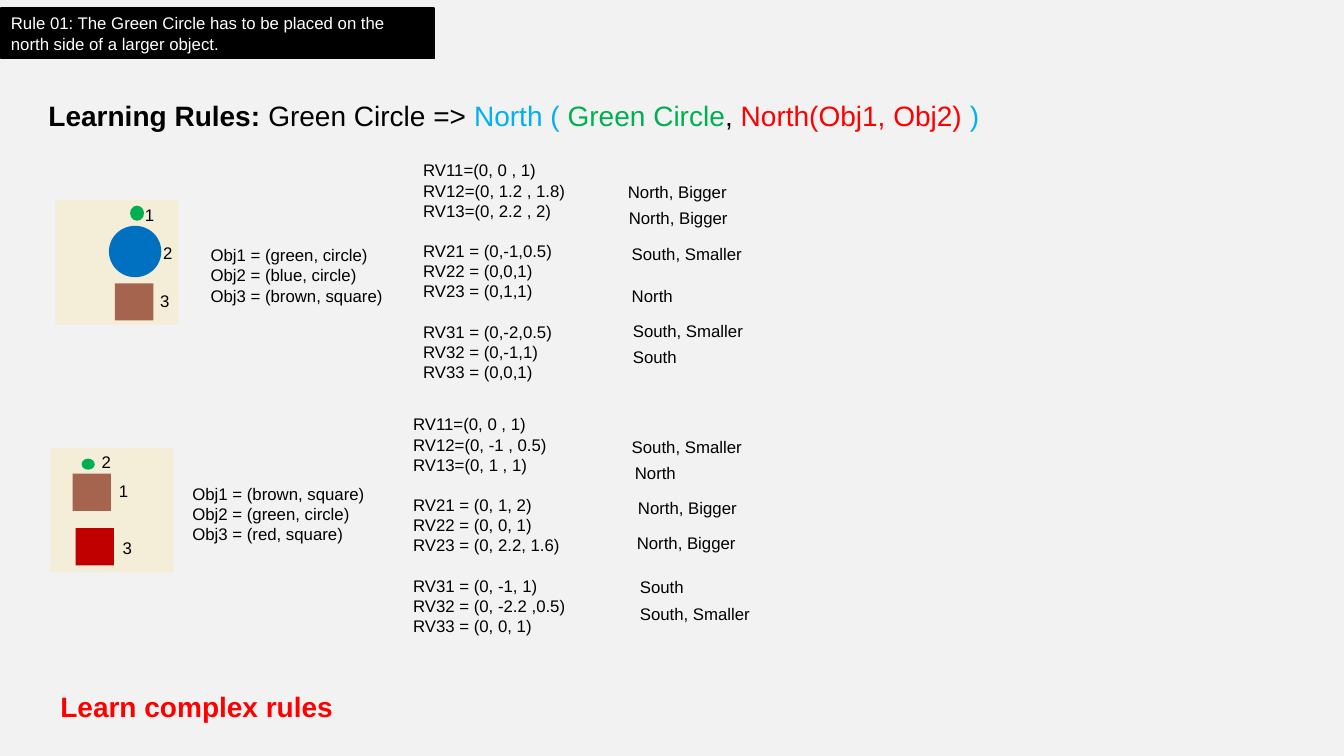
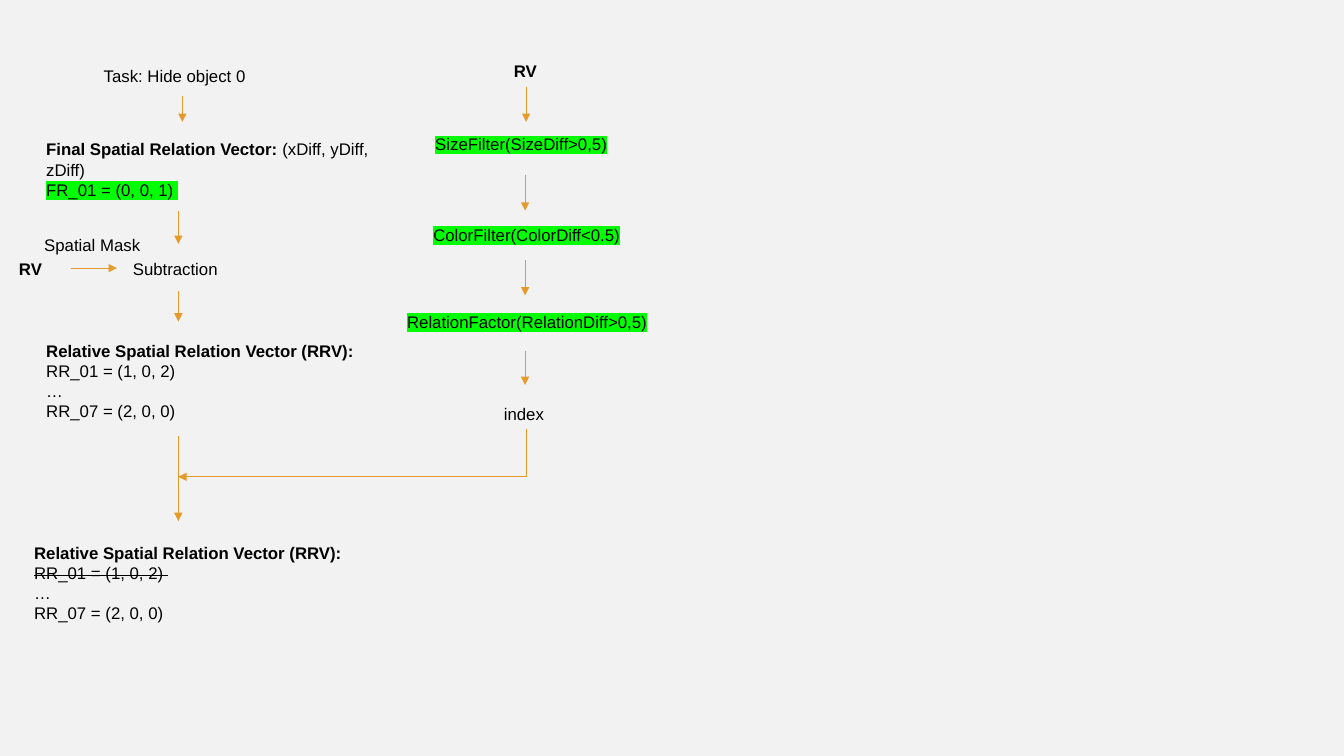
from lxml.etree import SubElement
from pptx import Presentation
from pptx.dml.color import RGBColor
from pptx.enum.shapes import MSO_CONNECTOR, MSO_SHAPE
from pptx.enum.text import MSO_ANCHOR, MSO_AUTO_SIZE, PP_ALIGN
from pptx.oxml.ns import qn
from pptx.util import Pt

COLOURS = {
    "page": "F2F2F2",
    "ink": "000000",
    "white": "FFFFFF",
    "sand": "F4EDD8",
    "brown": "A5644E",
    "blue": "0070C0",
    "green": "00B050",
    "crimson": "C00000",
    "red": "FF0000",
    "sky": "00B0F0",
    "marker": "00FF00",
    "arrow": "E59B2C",
}
FONT = "Arial"
BODY = 12
HEADING = 20
LINE = 14.4
TITLE_ONLY, BLANK = 5, 6

BOLD = {"bold": True}
MARKED = {"marker": True}
STRUCK = {"strike": True}


def rgb(name):
    return RGBColor.from_string(COLOURS[name])


class Deck:
    def __init__(self):
        self.prs = Presentation()
        self.prs.slide_width, self.prs.slide_height = Pt(960), Pt(540)
        background = self.prs.slide_master.background.fill
        background.solid()
        background.fore_color.rgb = rgb("page")
        self.slide = None

    def new_slide(self, layout):
        self.slide = self.prs.slides.add_slide(self.prs.slide_layouts[layout])

    def style(self, run, size, colour="ink", bold=False, marker=False, strike=False):
        run.font.size = Pt(size)
        run.font.bold = bold
        run.font.color.rgb = rgb(colour)
        properties = run.font._element
        if marker:
            highlight = SubElement(properties, qn("a:highlight"))
            SubElement(highlight, qn("a:srgbClr")).set("val", COLOURS["marker"])
        if strike:
            properties.set("strike", "sngStrike")
        run.font.name = FONT

    def fill_text(self, frame, paragraphs, size=BODY):
        frame.word_wrap = True
        for index, pieces in enumerate(paragraphs):
            paragraph = frame.add_paragraph() if index else frame.paragraphs[0]
            paragraph.alignment = PP_ALIGN.LEFT
            for words, look in pieces:
                run = paragraph.add_run()
                run.text = words
                self.style(run, size, **look)

    def title(self, left, top, width, height, pieces):
        heading = self.slide.shapes.title
        heading.left, heading.top = Pt(left), Pt(top)
        heading.width, heading.height = Pt(width), Pt(height)
        heading.text_frame.auto_size = MSO_AUTO_SIZE.NONE
        heading.text_frame.vertical_anchor = MSO_ANCHOR.TOP
        self.fill_text(heading.text_frame, [pieces], HEADING)

    def rich_text(self, left, top, width, height, paragraphs, size=BODY):
        box = self.slide.shapes.add_textbox(Pt(left), Pt(top), Pt(width), Pt(height))
        self.fill_text(box.text_frame, paragraphs, size)
        return box.text_frame

    def label(self, left, top, width, words, size=BODY, **look):
        self.rich_text(left, top, width, size * 1.2 + 7.2, [[(words, look)]], size)

    def lines(self, left, top, width, *blocks):
        rows = [row for block in blocks for row in block]
        height = (len(rows) + len(blocks) - 1) * LINE + 7.2
        frame = self.rich_text(left, top, width, height, [[(row, {})] for row in rows])
        start = 0
        for block in blocks[:-1]:
            start += len(block)
            frame.paragraphs[start].space_before = Pt(LINE)

    def shape(self, shapes, preset, left, top, width, height, colour):
        figure = shapes.add_shape(preset, Pt(left), Pt(top), Pt(width), Pt(height))
        figure.shadow.inherit = False
        figure.fill.solid()
        figure.fill.fore_color.rgb = rgb(colour)
        figure.line.fill.background()
        return figure

    def banner(self, left, top, width, height, words):
        rule = self.shape(self.slide.shapes, MSO_SHAPE.RECTANGLE, left, top, width, height, "ink")
        rule.line.color.rgb = rgb("ink")
        rule.line.width = Pt(1.25)
        rule.text_frame.vertical_anchor = MSO_ANCHOR.MIDDLE
        self.fill_text(rule.text_frame, [[(words, {"colour": "white"})]])

    def scene(self, left, top, objects, numbers):
        shapes = self.slide.shapes.add_group_shape().shapes
        self.shape(shapes, MSO_SHAPE.RECTANGLE, left, top, 87.8, 89.3, "sand")
        for preset, x, y, width, height, colour in objects:
            self.shape(shapes, preset, left + x, top + y, width, height, colour)
        for number, (x, y) in enumerate(numbers, 1):
            self.label(left + x, top + y, 26.6, str(number))

    def arrow(self, x1, y1, x2, y2, kind=MSO_CONNECTOR.STRAIGHT):
        link = self.slide.shapes.add_connector(kind, Pt(x1), Pt(y1), Pt(x2), Pt(y2))
        link.line.color.rgb = rgb("arrow")
        link.line.width = Pt(0.75)
        properties = link._element.spPr
        SubElement(properties.find(qn("a:ln")), qn("a:tailEnd")).set("type", "triangle")
        SubElement(properties, qn("a:effectLst"))
        return properties

    def corner_arrow(self, x1, y1, x2, y2):
        across, down = x1 - x2, y2 - y1
        left = (x1 + x2 - down) / 2
        top = (y1 + y2 - across) / 2
        properties = self.arrow(left, top, left + down, top + across, MSO_CONNECTOR.ELBOW)
        properties.find(qn("a:xfrm")).set("rot", "5400000")
        properties.find(qn("a:prstGeom")).set("prst", "bentConnector2")


def learning_rules(deck):
    deck.new_slide(TITLE_ONLY)
    deck.banner(0.7, 5.8, 309.6, 36,
                "Rule 01: The Green Circle has to be placed on the north side of a larger object.")
    deck.title(27.4, 67, 905, 31.7, [
        ("Learning Rules: ", BOLD),
        ("Green Circle => ", {}),
        ("North ( ", {"colour": "sky"}),
        ("Green Circle", {"colour": "green"}),
        (", ", {}),
        ("North(Obj1, Obj2) ", {"colour": "red"}),
        (")", {"colour": "sky"}),
    ])
    square, circle = MSO_SHAPE.RECTANGLE, MSO_SHAPE.OVAL
    deck.scene(39.6, 142.6, [
        (square, 42.5, 59.8, 27.4, 26.6, "brown"),
        (circle, 38.2, 18.7, 37.4, 36.7, "blue"),
        (circle, 53.3, 4.3, 10, 10.8, "green"),
    ], [(56.9, 0), (69.8, 27.4), (67.7, 61.2)])
    deck.scene(36, 319.7, [
        (square, 15.8, 18.7, 27.4, 26.6, "brown"),
        (square, 18, 57.6, 27.4, 26.6, "crimson"),
        (circle, 22.3, 7.9, 9.4, 7.9, "green"),
    ], [(41.8, 20.2), (29.5, -0.7), (44.6, 61.2)])

    deck.lines(143.3, 171.4, 150.5,
               ["Obj1 = (green, circle)", "Obj2 = (blue, circle)", "Obj3 = (brown, square)"])
    deck.lines(130.3, 342, 150.5,
               ["Obj1 = (brown, square)", "Obj2 = (green, circle)", "Obj3 = (red, square)"])
    deck.lines(295.2, 110.9, 120.2,
               ["RV11=(0, 0 , 1)", "RV12=(0, 1.2 , 1.8)", "RV13=(0, 2.2 , 2)"],
               ["RV21 = (0,-1,0.5)", "RV22 = (0,0,1)", "RV23 = (0,1,1)"],
               ["RV31 = (0,-2,0.5)", "RV32 = (0,-1,1)", "RV33 = (0,0,1)"])
    deck.lines(288, 292.3, 127.4,
               ["RV11=(0, 0 , 1)", "RV12=(0, -1 , 0.5)", "RV13=(0, 1 , 1)"],
               ["RV21 = (0, 1, 2)", "RV22 = (0, 0, 1)", "RV23 = (0, 2.2, 1.6)"],
               ["RV31 = (0, -1, 1)", "RV32 = (0, -2.2 ,0.5)", "RV33 = (0, 0, 1)"])

    relations = [
        (441.4, 126, "North, Bigger"),
        (442.1, 144.7, "North, Bigger"),
        (444.2, 170.6, "South, Smaller"),
        (444.2, 200.2, "North"),
        (445, 225.4, "South, Smaller"),
        (445, 244.1, "South"),
        (444.2, 308.2, "South, Smaller"),
        (446.4, 326.9, "North"),
        (448.6, 352.1, "North, Bigger"),
        (447.8, 377.3, "North, Bigger"),
        (450, 408.2, "South"),
        (450, 427.7, "South, Smaller"),
    ]
    for left, top, relation in relations:
        deck.label(left, top, 105, relation)
    deck.label(36, 488.9, 210.2, "Learn complex rules", HEADING, colour="red", bold=True)


def relation_filters(deck):
    deck.new_slide(BLANK)
    deck.label(67, 43.2, 121, "Task: Hide object 0")
    deck.rich_text(25.9, 95.8, 252, 65.5, [
        [("Final Spatial Relation Vector: ", BOLD), ("(xDiff, yDiff, zDiff)", {})],
        [("FR_01 = (0, 0, 1) ", MARKED)],
    ])
    deck.label(24.5, 164.2, 85, "Spatial Mask")
    deck.label(6.5, 181.4, 38.9, "RV", bold=True)
    deck.label(87.8, 181.4, 85, "Subtraction")
    for left, top, first_look in [(25.9, 239.8, {}), (17.3, 383.8, STRUCK)]:
        first = "RR_01 = (1, 0, 2)" + (" " if first_look else "")
        deck.rich_text(left, top, 234, 79.9, [
            [("Relative Spatial Relation Vector (RRV):", BOLD)],
            [(first, first_look)],
            [("…", {})],
            [("RR_07 = (2, 0, 0)", {})],
        ])

    deck.label(360, 39.6, 38.9, "RV", bold=True)
    filters = [
        (303.8, 92.2, 142.6, "SizeFilter(SizeDiff>0,5)"),
        (302.4, 157, 154.8, "ColorFilter(ColorDiff<0.5)"),
        (283.7, 218.9, 200.2, "RelationFactor(RelationDiff>0,5)"),
    ]
    for left, top, width, step in filters:
        deck.label(left, top, width, step, marker=True)
    deck.label(352.8, 285.1, 46.8, "index")

    vector_x, filter_x, index_x = 127.4, 375.1, 375.8
    down_arrows = [
        (130.3, 68.4, 87.1),
        (vector_x, 150.5, 174.2),
        (vector_x, 208.1, 229.7),
        (vector_x, 311.8, 372.2),
        (index_x, 61.9, 87.1),
        (filter_x, 125.3, 150.5),
        (filter_x, 185.8, 211),
        (filter_x, 250.6, 275),
    ]
    for x, start, end in down_arrows:
        deck.arrow(x, start, x, end)
    deck.arrow(50.4, 191.5, 83.5, 191.5)
    deck.corner_arrow(index_x, 306.7, vector_x, 340.6)


def main():
    deck = Deck()
    learning_rules(deck)
    relation_filters(deck)
    deck.prs.save("out.pptx")


if __name__ == "__main__":
    main()
